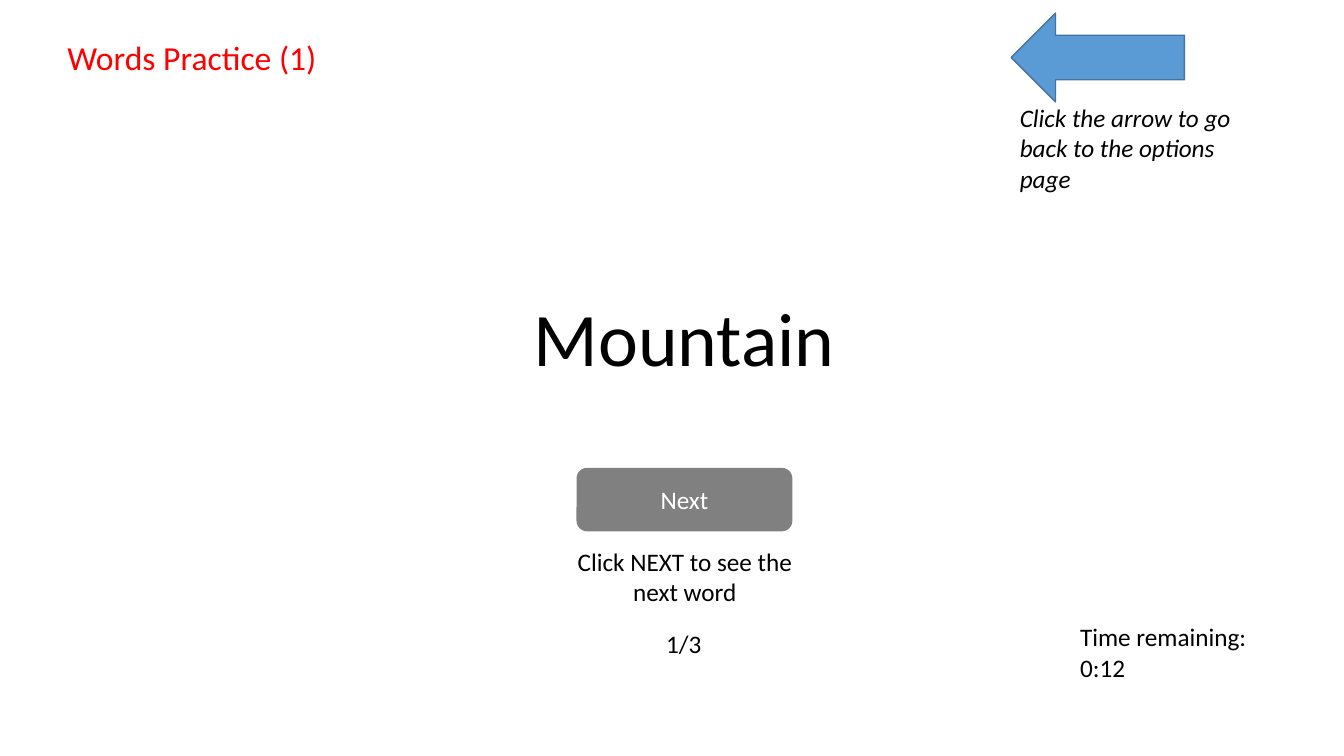
"""Build the word practice slide with its word, next button and back arrow."""
import dataclasses
import typing

import pptx
import pptx.dml.color
import pptx.enum.shapes
import pptx.enum.text
import pptx.util

Cm = pptx.util.Cm
Pt = pptx.util.Pt
Align = pptx.enum.text.PP_ALIGN
Preset = pptx.enum.shapes.MSO_SHAPE


@dataclasses.dataclass(frozen=True)
class Label:
    text: str
    box: tuple[float, float, float, float]
    size: int = 18
    color: str = "000000"
    align: Align = Align.LEFT
    italic: bool = False


@dataclasses.dataclass(frozen=True)
class Block:
    preset: Preset
    box: tuple[float, float, float, float]
    fill: str
    line: typing.Optional[str] = None
    label: typing.Optional[Label] = None


NEXT_BOX = (14.53, 11.79, 5.44, 1.6)
LABELS = [
    Label("Words Practice (1)", (1.45, 0.81, 7.87, 1.27), size=24, color="FF0000"),
    Label("Click NEXT to see the next word", (13.87, 13.64, 6.78, 1.8), align=Align.CENTER),
    Label("Mountain", (12.65, 7.21, 9.19, 2.57), size=54, align=Align.CENTER),
    Label("Click the arrow to go back to the options page", (25.45, 2.46, 5.92, 2.57), italic=True),
    Label("Time remaining:\n0:12", (26.97, 15.54, 5.69, 1.8)),
    Label("1/3", (16.54, 15.72, 2.64, 1.02)),
]
BLOCKS = [
    Block(Preset.ROUNDED_RECTANGLE, NEXT_BOX, "808080",
          label=Label("Next", NEXT_BOX, color="FFFFFF", align=Align.CENTER)),
    Block(Preset.LEFT_ARROW, (25.48, 0.33, 4.37, 2.24), "5B9BD5", line="43739E"),
]


def rgb(color: str) -> pptx.dml.color.RGBColor:
    """Turn a hex string into a colour."""
    return pptx.dml.color.RGBColor.from_string(color)


def apply_format(target: typing.Any, values: dict[str, typing.Any]) -> None:
    """Set each named attribute on the target."""
    for name, value in values.items():
        setattr(target, name, value)


def write_text(text_frame: typing.Any, label: Label) -> None:
    """Fill a text frame with the styled text of a label."""
    text_frame.text = label.text
    text_frame.word_wrap = True
    for paragraph in text_frame.paragraphs:
        paragraph.alignment = label.align
        for run in paragraph.runs:
            apply_format(run.font, {"name": "Calibri", "size": Pt(label.size), "italic": label.italic})
            run.font.color.rgb = rgb(label.color)


def draw_label(slide: typing.Any, label: Label) -> None:
    """Add a text box for a label."""
    text_box = slide.shapes.add_textbox(*map(Cm, label.box))
    text_box.text_frame.auto_size = pptx.enum.text.MSO_AUTO_SIZE.SHAPE_TO_FIT_TEXT
    write_text(text_box.text_frame, label)


def draw_block(slide: typing.Any, block: Block) -> None:
    """Add a filled preset shape with its optional outline and text."""
    shape = slide.shapes.add_shape(block.preset, *map(Cm, block.box))
    shape.shadow.inherit = False
    shape.fill.solid()
    shape.fill.fore_color.rgb = rgb(block.fill)
    if block.line:
        shape.line.color.rgb = rgb(block.line)
        shape.line.width = Pt(1)
    else:
        shape.line.fill.background()
    if block.label:
        shape.text_frame.vertical_anchor = pptx.enum.text.MSO_ANCHOR.MIDDLE
        write_text(shape.text_frame, block.label)


def main() -> None:
    """Create the presentation and save it."""
    presentation = pptx.Presentation()
    apply_format(presentation, {"slide_width": Cm(33.87), "slide_height": Cm(19.05)})
    slide = presentation.slides.add_slide(presentation.slide_layouts[6])
    for block in BLOCKS:
        draw_block(slide, block)
    for label in LABELS:
        draw_label(slide, label)
    presentation.save("out.pptx")


if __name__ == "__main__":
    main()
